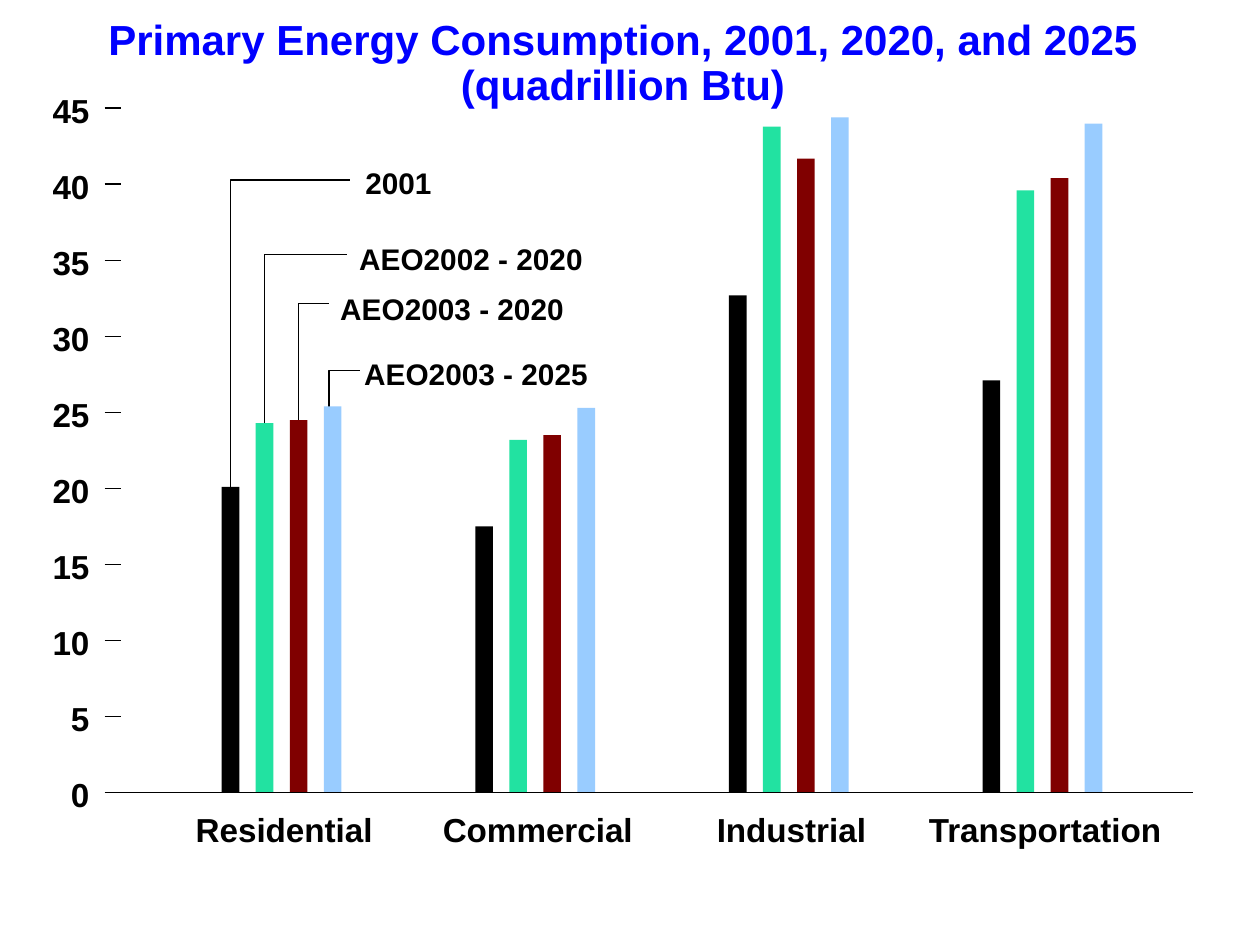
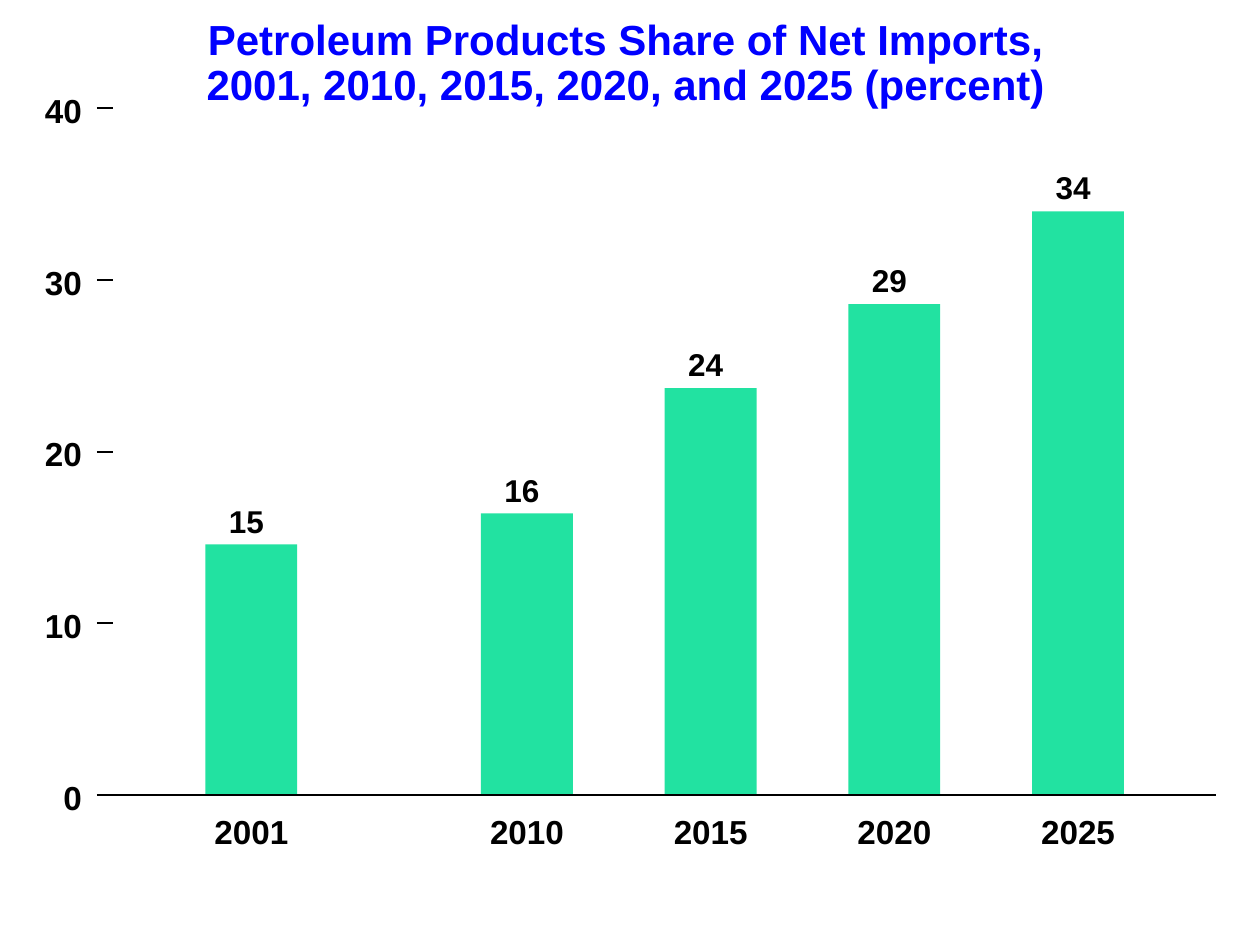
from dataclasses import dataclass
from typing import NamedTuple

from lxml.etree import SubElement
from pptx import Presentation
from pptx.dml.color import RGBColor
from pptx.enum.shapes import MSO_CONNECTOR as Link, MSO_SHAPE as Form
from pptx.enum.text import MSO_AUTO_SIZE as Fit, PP_ALIGN as Align
from pptx.oxml.ns import qn
from pptx.slide import Slide
from pptx.util import Inches, Pt

BLACK = RGBColor(0x00, 0x00, 0x00)
BLUE = RGBColor(0x00, 0x00, 0xFF)
GREEN = RGBColor(0x22, 0xE2, 0xA1)
MAROON = RGBColor(0x80, 0x00, 0x00)
SKY = RGBColor(0x99, 0xCC, 0xFF)

WIDE, HIGH = Inches(10), Inches(7.5)
COLS, ROWS = 100, 75
TOP = 8.6
TICK = 1.3
DIGIT = 1.47
FONT = {"name": "Arial", "bold": True}
FRAME = {"margin_left": 0, "margin_right": 0, "margin_top": 0,
         "margin_bottom": 0, "word_wrap": False, "auto_size": Fit.NONE}


class Box(NamedTuple):
    left: float
    top: float
    width: float
    height: float


class Style(NamedTuple):
    size: int
    align: Align
    tall: float
    color: RGBColor = BLACK
    space: float = 1.0


TITLE = Style(24, Align.CENTER, 7.2, BLUE, 0.9)
GROUP = Style(19, Align.CENTER, 3.2)
SCALE = Style(19, Align.RIGHT, 3.2)
VALUE = Style(18, Align.CENTER, 3.0)
CALL = Style(17, Align.LEFT, 2.8)


class Group(NamedTuple):
    name: str
    width: float
    slot: float
    values: tuple[float, ...]


class Lead(NamedTuple):
    text: str
    foot: tuple[float, float]
    bend: tuple[float, float]
    label: tuple[float, float]
    width: float


@dataclass(frozen=True)
class Graph:
    title: tuple[str, str]
    head: tuple[float, float]
    axis: float
    end: float
    base: float
    peak: int
    step: int
    start: float
    pitch: float
    bar: float
    gap: float
    shift: float
    colors: tuple[RGBColor, ...]
    groups: tuple[Group, ...]
    leads: tuple[Lead, ...] = ()
    marks: bool = False

    def level(self, value: float) -> float:
        return self.base - value / self.peak * (self.base - TOP)


def across(cols: float) -> int:
    return round(cols * WIDE / COLS)


def down(rows: float) -> int:
    return round(rows * HIGH / ROWS)


def place(box: Box) -> tuple[int, int, int, int]:
    return across(box.left), down(box.top), across(box.width), down(box.height)


def apply(target: object, values: dict[str, object]) -> None:
    for key, value in values.items():
        setattr(target, key, value)


def write(slide: Slide, lines: tuple[str, ...], left: float, top: float,
          width: float, style: Style) -> None:
    frame = slide.shapes.add_textbox(*place(Box(left, top, width, style.tall))).text_frame
    apply(frame, FRAME)
    for index, line in enumerate(lines):
        para = frame.add_paragraph() if index else frame.paragraphs[0]
        apply(para, {"alignment": style.align, "line_spacing": style.space})
        run = para.add_run()
        run.text = line
        apply(run.font, FONT | {"size": Pt(style.size)})
        run.font.color.rgb = style.color


def draw_bar(slide: Slide, box: Box, color: RGBColor) -> None:
    shape = slide.shapes.add_shape(Form.RECTANGLE, *place(box))
    shape.shadow.inherit = False
    shape.fill.solid()
    shape.fill.fore_color.rgb = color
    shape.line.fill.background()


def draw_rule(slide: Slide, left: float, right: float, row: float) -> None:
    rule = slide.shapes.add_connector(
        Link.STRAIGHT, across(left), down(row), across(right), down(row))
    rule.line.color.rgb = BLACK
    rule.line.width = Pt(1)
    SubElement(rule._element.spPr, qn("a:effectLst"))


def draw_lead(slide: Slide, lead: Lead) -> None:
    (col, foot), (end, row) = lead.foot, lead.bend
    pen = slide.shapes.build_freeform(across(col), down(foot))
    pen.add_line_segments(
        [(across(col), down(row)), (across(end), down(row))], close=False)
    shape = pen.convert_to_shape()
    shape.shadow.inherit = False
    shape.fill.background()
    shape.line.color.rgb = BLACK
    shape.line.width = Pt(1)
    write(slide, (lead.text,), *lead.label, lead.width, CALL)


def draw_group(slide: Slide, graph: Graph, group: Group) -> None:
    left = graph.start + group.slot * graph.pitch
    for index, (value, color) in enumerate(zip(group.values, graph.colors)):
        col, row = left + index * graph.gap, graph.level(value)
        draw_bar(slide, Box(col, row, graph.bar, graph.base - row), color)
        if graph.marks:
            write(slide, (f"{value:.0f}",), col + 1.85, row - 3.4, 2.8, VALUE)
    span = (len(group.values) - 1) * graph.gap + graph.bar
    middle = left + span / 2 + graph.shift
    write(slide, (group.name,), middle - group.width / 2, graph.base + 1.3,
          group.width, GROUP)


def draw_scale(slide: Slide, graph: Graph) -> None:
    for value in range(0, graph.peak + 1, graph.step):
        row, text = graph.level(value), str(value)
        draw_rule(slide, graph.axis - TICK, graph.axis, row)
        width = DIGIT * len(text)
        write(slide, (text,), graph.axis - 2.5 - width, row - 1.45, width, SCALE)
    draw_rule(slide, graph.axis, graph.end, graph.base)


def draw_graph(slide: Slide, graph: Graph) -> None:
    left, width = graph.head
    write(slide, graph.title, left, 1.5, width, TITLE)
    for lead in graph.leads:
        draw_lead(slide, lead)
    for group in graph.groups:
        draw_group(slide, graph, group)
    draw_scale(slide, graph)


ENERGY = Graph(
    title=("Primary Energy Consumption, 2001, 2020, and 2025", "(quadrillion Btu)"),
    head=(8.6, 81.7), axis=9.6, end=94.7, base=62.9, peak=45, step=5,
    start=17.6, pitch=20.13, bar=1.4, gap=2.7, shift=0.2,
    colors=(BLACK, GREEN, MAROON, SKY),
    groups=(
        Group("Residential", 14.1, 0, (20.1, 24.3, 24.5, 25.4)),
        Group("Commercial", 15.1, 1, (17.5, 23.2, 23.5, 25.3)),
        Group("Industrial", 11.9, 2, (32.7, 43.8, 41.7, 44.4)),
        Group("Transportation", 18.6, 3, (27.1, 39.6, 40.4, 44.0)),
    ),
    leads=(
        Lead("2001", (18.3, 48.5), (27.8, 14.3), (29, 13.1), 5.3),
        Lead("AEO2002 - 2020", (21, 41.6), (27.5, 20.2), (28.5, 19.1), 17.8),
        Lead("AEO2003 - 2020", (23.7, 44.4), (26.1, 24.1), (27, 23.1), 17.8),
        Lead("AEO2003 - 2025", (26.1, 49.6), (28.6, 29.4), (28.9, 28.2), 17.8),
    ),
)

IMPORTS = Graph(
    title=("Petroleum Products Share of Net Imports,",
           "2001, 2010, 2015, 2020, and 2025 (percent)"),
    head=(16.4, 66.5), axis=9.0, end=96.5, base=63.1, peak=40, step=10,
    start=16.3, pitch=14.58, bar=7.3, gap=0, shift=0, colors=(GREEN,),
    groups=tuple(Group(name, 5.9, slot, (value,)) for name, slot, value in (
        ("2001", 0, 14.6), ("2010", 1.5, 16.4), ("2015", 2.5, 23.7),
        ("2020", 3.5, 28.6), ("2025", 4.5, 34.0))),
    marks=True,
)


def main() -> None:
    deck = Presentation()
    apply(deck, {"slide_width": WIDE, "slide_height": HIGH})
    for graph in (ENERGY, IMPORTS):
        draw_graph(deck.slides.add_slide(deck.slide_layouts[6]), graph)
    deck.save("out.pptx")


if __name__ == "__main__":
    main()
